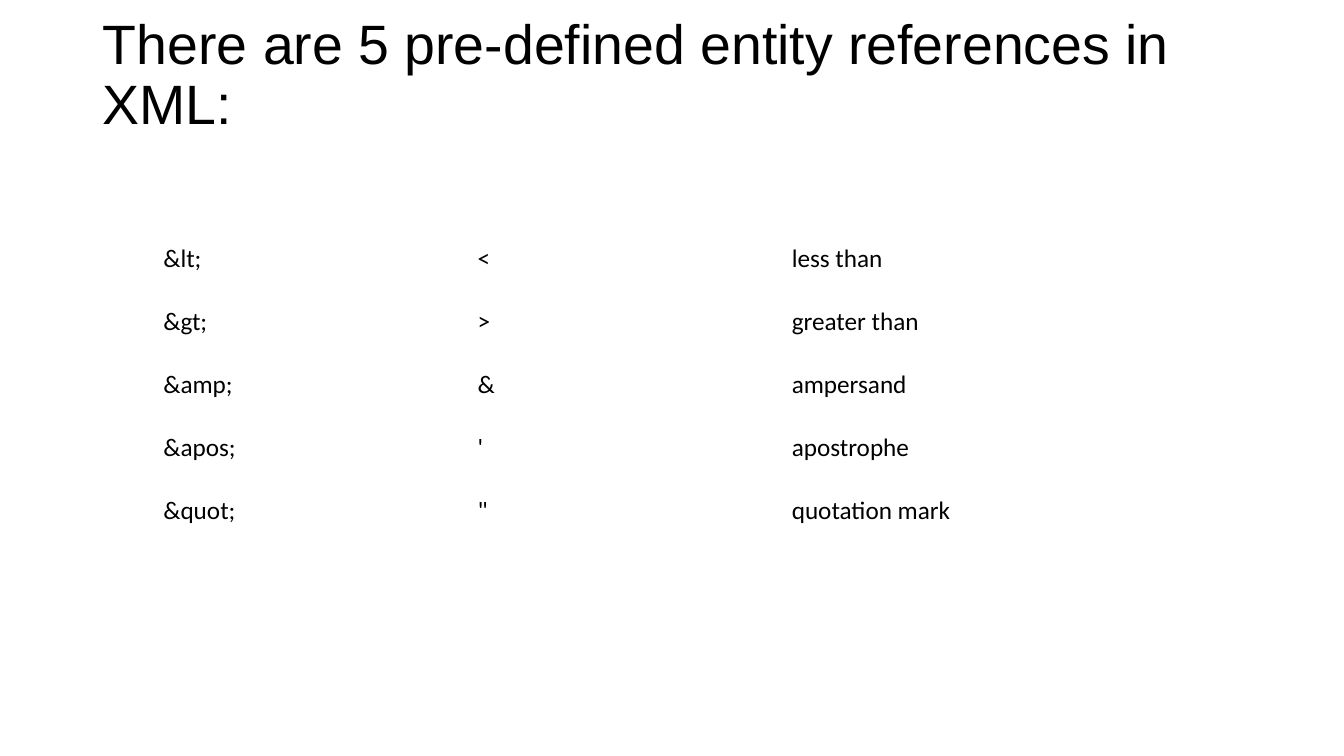
from dataclasses import dataclass

from pptx import Presentation
from pptx.dml.color import RGBColor
from pptx.enum.text import MSO_ANCHOR, MSO_AUTO_SIZE, PP_ALIGN
from pptx.util import Inches, Pt

MIDDLE = MSO_ANCHOR.MIDDLE
LEFT = PP_ALIGN.LEFT
NO_AUTOFIT = MSO_AUTO_SIZE.NONE
TITLE_ONLY = 5

ENTITIES = [
    ("&lt;", "<", "less than"),
    ("&gt;", ">", "greater than"),
    ("&amp;", "&", "ampersand\u00a0"),
    ("&apos;", "'", "apostrophe"),
    ("&quot;", '"', "quotation mark"),
]


@dataclass(frozen=True)
class Theme:
    ink: RGBColor = RGBColor(0, 0, 0)
    paper: RGBColor = RGBColor(255, 255, 255)
    title_font: str = "Arial"
    body_font: str = "Calibri"
    title_size: float = 39.6
    body_size: float = 18


def write(frame, text, *, font, size, color, line_spacing=1.0):
    frame.text = text
    frame.word_wrap = True
    frame.vertical_anchor = MIDDLE
    paragraph = frame.paragraphs[0]
    paragraph.alignment = LEFT
    paragraph.line_spacing = line_spacing
    for run in paragraph.runs:
        run.font.name = font
        run.font.size = Pt(size)
        run.font.color.rgb = color


class EntitySlide:
    """Holds the theme and slide; places elements by shares of the slide's size."""

    def __init__(self, deck, theme):
        self.theme = theme
        self.width, self.height = deck.slide_width, deck.slide_height
        self.slide = deck.slides.add_slide(deck.slide_layouts[TITLE_ONLY])
        background = self.slide.background.fill
        background.solid()
        background.fore_color.rgb = theme.paper

    def box(self, left, top, width, height):
        return (round(left * self.width), round(top * self.height),
                round(width * self.width), round(height * self.height))

    def title(self, text, *shares):
        heading = self.slide.shapes.title
        heading.left, heading.top, heading.width, heading.height = self.box(*shares)
        write(heading.text_frame, text, font=self.theme.title_font,
              size=self.theme.title_size, color=self.theme.ink, line_spacing=0.9)
        heading.text_frame.auto_size = NO_AUTOFIT

    def table(self, rows, *shares):
        """Add a plain table with equal columns and rows and no fills."""
        grid = self.slide.shapes.add_table(len(rows), len(rows[0]), *self.box(*shares)).table
        grid.first_row = grid.horz_banding = False
        for r, entity in enumerate(rows):
            for c, text in enumerate(entity):
                cell = grid.cell(r, c)
                cell.fill.background()
                write(cell.text_frame, text, font=self.theme.body_font,
                      size=self.theme.body_size, color=self.theme.ink)
                cell.vertical_anchor = MIDDLE


def main():
    deck = Presentation()
    deck.slide_width, deck.slide_height = Inches(13.33), Inches(7.5)
    page = EntitySlide(deck, Theme())
    page.title("There are 5 pre-defined entity references in XML:\v",
               0.92 / 13.33, 0.4 / 7.5, 11.5 / 13.33, 1.45 / 7.5)
    page.table(ENTITIES, 1.52 / 13.33, 2.26 / 7.5, 9.35 / 13.33, 3.12 / 7.5)
    deck.save("out.pptx")


if __name__ == "__main__":
    main()
